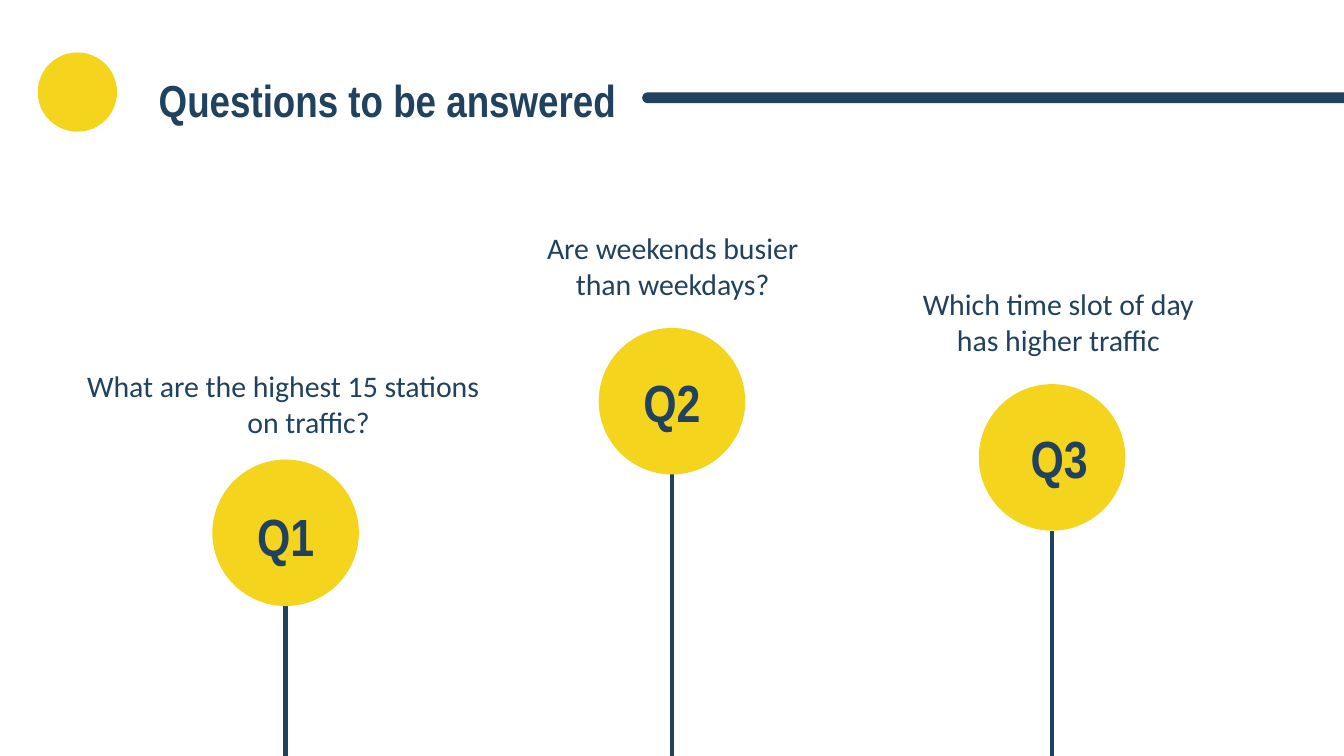
from dataclasses import dataclass

from lxml import etree
from pptx import Presentation
from pptx import util as u
from pptx.dml.color import RGBColor
from pptx.enum import shapes, text
from pptx.oxml import ns

COLORS = {"navy": "21425F", "yellow": "F5D41E"}
HEADING_FONT, BODY_FONT = "Arial Narrow", "Calibri"
SLIDE_WIDTH, SLIDE_HEIGHT = 720, 405
CIRCLE_SIZE = 78.5
LABEL_WIDTH, LABEL_HEIGHT = 100.8, 45.4
STEM_END = 407.5  # the stems run just past the bottom edge
INSET = 7.2


@dataclass(frozen=True)
class Question:
    label: str
    caption: str
    center: float
    top: float
    caption_left: float
    caption_width: float = 162
    caption_height: float = 73.4
    caption_gap: float = 7.2
    label_shift: float = 0
    label_drop: float = 16.6
    margin: float = 0
    indent: float = 0


QUESTIONS = [
    Question("Q1", "What are the highest 15 stations on traffic?", 153, 246.2, 27.4,
             caption_width=239.8, caption_height=64.1, caption_gap=3.5,
             label_drop=18, margin=36, indent=-27),
    Question("Q2", "Are weekends busier than weekdays?", 360, 175.7, 279.4),
    Question("Q3", "Which time slot of day has higher traffic", 563.6, 205.8, 486,
             label_shift=3.8),
]


def color(name: str) -> RGBColor:
    return RGBColor.from_string(COLORS[name])


def place(box, left: float, top: float, width: float, height: float) -> None:
    box.left, box.top = u.Pt(left), u.Pt(top)
    box.width, box.height = u.Pt(width), u.Pt(height)


def write(box, words: str, *, size: float, font: str, bold: bool = False,
          align=text.PP_ALIGN.CENTER, anchor=text.MSO_ANCHOR.MIDDLE,
          margin: float = 0, indent: float = 0) -> None:
    frame = box.text_frame
    frame.word_wrap = True
    frame.auto_size = text.MSO_AUTO_SIZE.NONE
    frame.vertical_anchor = anchor
    frame.margin_left = frame.margin_right = u.Pt(INSET)
    frame.margin_top = frame.margin_bottom = u.Pt(INSET)
    para = frame.paragraphs[0]
    para.alignment = align
    if margin or indent:
        properties = para._p.get_or_add_pPr()
        properties.set("marL", str(u.Pt(margin)))
        properties.set("indent", str(u.Pt(indent)))
    span = para.add_run()
    span.text = words
    span.font.name, span.font.size, span.font.bold = font, u.Pt(size), bold
    span.font.color.rgb = color("navy")


def add_text(page, words: str, left: float, top: float, width: float,
             height: float, **style) -> None:
    box = page.shapes.add_textbox(u.Pt(left), u.Pt(top), u.Pt(width), u.Pt(height))
    write(box, words, **style)


def add_solid(page, kind, fill: str, left: float, top: float, width: float,
              height: float):
    """Add a filled preset shape without outline or shadow."""
    shape = page.shapes.add_shape(kind, u.Pt(left), u.Pt(top), u.Pt(width), u.Pt(height))
    shape.shadow.inherit = False
    shape.fill.solid()
    shape.fill.fore_color.rgb = color(fill)
    shape.line.fill.background()
    return shape


def add_stem(page, x: float, top: float) -> None:
    stem = page.shapes.add_connector(shapes.MSO_CONNECTOR.STRAIGHT, u.Pt(x), u.Pt(top),
                                     u.Pt(x), u.Pt(STEM_END))
    stem.line.color.rgb = color("navy")
    stem.line.width = u.Pt(2.25)
    etree.SubElement(stem._element.spPr, ns.qn("a:effectLst"))


def add_question(page, item: Question) -> None:
    add_stem(page, item.center, item.top + CIRCLE_SIZE)
    add_solid(page, shapes.MSO_SHAPE.OVAL, "yellow", item.center - CIRCLE_SIZE / 2,
              item.top, CIRCLE_SIZE, CIRCLE_SIZE)
    add_text(page, item.label, item.center + item.label_shift - LABEL_WIDTH / 2,
             item.top + item.label_drop, LABEL_WIDTH, LABEL_HEIGHT,
             size=28, font=HEADING_FONT, bold=True)
    add_text(page, item.caption, item.caption_left,
             item.top - item.caption_gap - item.caption_height,
             item.caption_width, item.caption_height, size=16, font=BODY_FONT,
             anchor=text.MSO_ANCHOR.BOTTOM, margin=item.margin, indent=item.indent)


def add_header(page) -> None:
    title = page.shapes.title
    place(title, 77.8, 31.7, 334, 45.4)
    write(title, "Questions to be answered", size=24, font=HEADING_FONT, bold=True,
          align=text.PP_ALIGN.LEFT, anchor=text.MSO_ANCHOR.TOP)
    add_solid(page, shapes.MSO_SHAPE.OVAL, "yellow", 20.2, 28.1, 42.5, 42.5)
    bar = add_solid(page, shapes.MSO_SHAPE.ROUNDED_RECTANGLE, "navy", 344, 49.5, 404.6, 5.8)
    bar.adjustments[0] = 0.5


def main() -> None:
    deck = Presentation()
    deck.slide_width, deck.slide_height = u.Pt(SLIDE_WIDTH), u.Pt(SLIDE_HEIGHT)
    page = deck.slides.add_slide(deck.slide_layouts[5])
    add_header(page)
    for item in QUESTIONS:
        add_question(page, item)
    deck.save("out.pptx")


if __name__ == "__main__":
    main()
